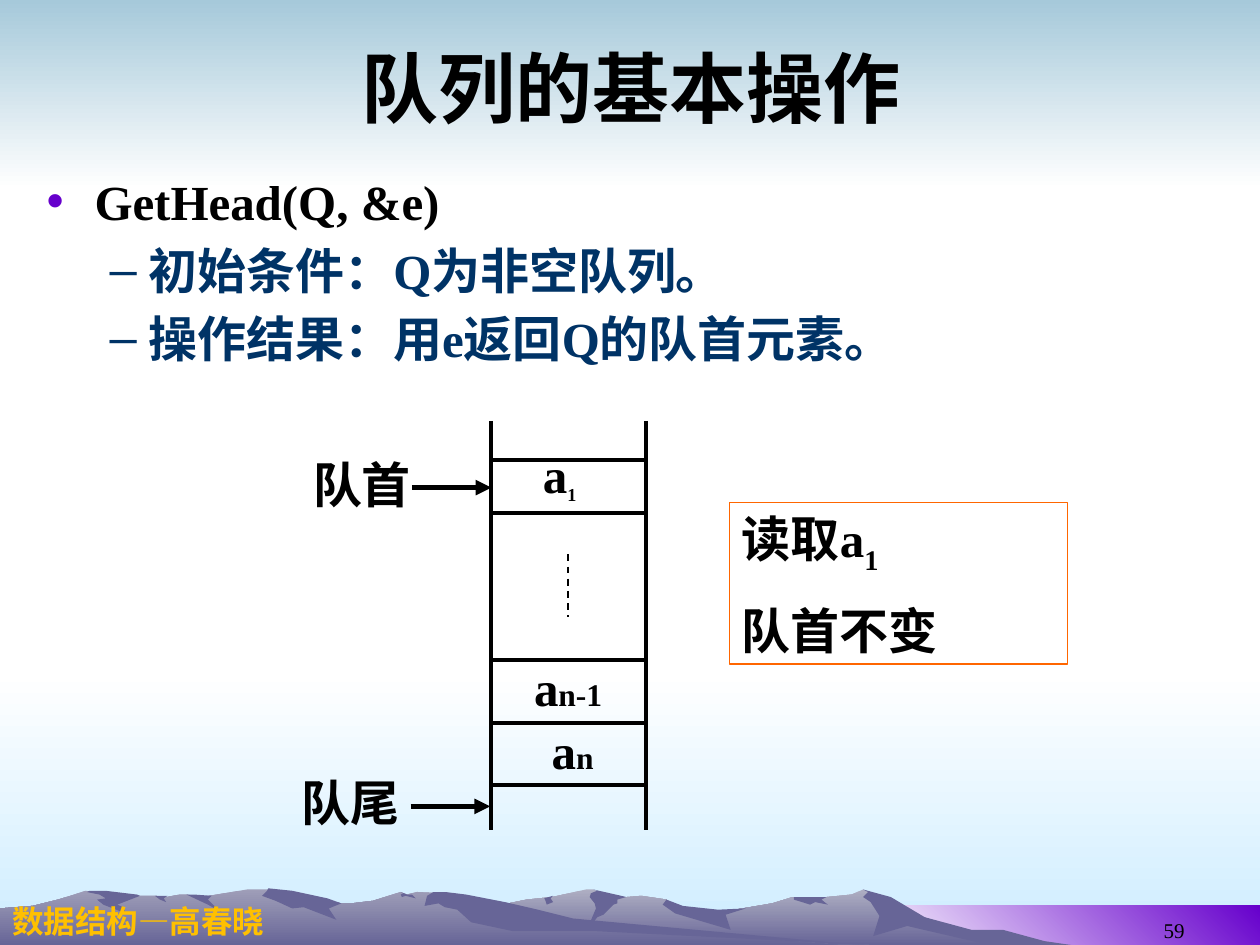
"""Build the slide on reading the head element of a queue."""
import pptx
import pptx.dml.color
import pptx.enum.shapes
import pptx.enum.dml
import pptx.enum.text
import pptx.oxml
import pptx.oxml.ns
import pptx.util

PX = 9144
SERIF, SANS, CJK = "Times New Roman", "Arial", "Noto Sans CJK SC"
BLACK, NAVY, PURPLE, ROCK = "000000", "003366", "6600CC", "676597"
LEFT, RIGHT = 390, 513

BANDS = [
    ((0, 533, 1000, 750), ("FFFFFF", "CCECFF"), 270),
    ((0, 0, 1000, 150), ("A6C9DA", "FFFFFF"), 270),
    ((683, 719, 1000, 750), ("FFFFFF", PURPLE), 45),
]
RIGHT_RIDGE = [
    (802, 746), (778, 740), (764, 738), (723, 725), (702, 712), (685, 706), (676, 710),
    (656, 712), (629, 712), (613, 717), (566, 725), (536, 721), (529, 714), (509, 711),
    (486, 713), (471, 706), (465, 706), (438, 712), (418, 714), (394, 719), (355, 725),
    (327, 731), (277, 745), (258, 750), (820, 750),
]
RIGHT_SHADES = [
    [(796, 738), (771, 738), (734, 728), (707, 712), (685, 706), (689, 708), (685, 712),
     (691, 716), (698, 727), (693, 743), (720, 735), (785, 750), (850, 750), (829, 747)],
    [(471, 706), (474, 707), (469, 709), (468, 712), (472, 717), (473, 721), (465, 740),
     (474, 728), (479, 726), (487, 718), (490, 717), (490, 714), (497, 712), (493, 711)],
    [(529, 714), (526, 718), (536, 725), (580, 738), (576, 726), (592, 721), (570, 722),
     (542, 719)],
    [(650, 712), (630, 712), (630, 714), (643, 718), (647, 716), (657, 718), (652, 714),
     (656, 712)],
    [(433, 715), (432, 713), (439, 711), (437, 713), (439, 716), (434, 718)],
]
LEFT_RIDGE = [
    (690, 750), (667, 750), (432, 732), (354, 709), (331, 708), (323, 710), (318, 708),
    (296, 715), (279, 717), (271, 717), (260, 715), (236, 717), (223, 708), (215, 706),
    (196, 706), (178, 709), (160, 712), (148, 710), (143, 710), (132, 712), (123, 711),
    (111, 711), (94, 712), (68, 707), (56, 711), (46, 714), (26, 719), (0, 721), (0, 750),
]
LEFT_SHADES = [
    [(212, 707), (208, 711), (219, 715), (232, 721), (241, 720), (267, 730), (261, 721),
     (271, 717), (260, 713), (232, 707), (213, 705)],
    [(370, 710), (354, 708), (344, 708), (339, 711), (337, 719), (348, 717), (353, 720),
     (363, 722), (374, 732), (407, 739), (472, 739), (690, 750), (683, 750), (455, 729),
     (427, 722), (401, 716)],
    [(318, 710), (320, 709), (318, 708), (323, 710), (327, 710), (330, 713), (322, 711),
     (319, 712)],
    [(154, 710), (168, 711), (165, 714), (169, 718), (176, 724), (165, 718), (148, 710)],
    [(133, 711), (130, 713), (132, 716), (127, 714), (123, 711)],
    [(109, 710), (111, 711), (93, 718), (98, 720), (100, 725), (82, 718), (77, 714),
     (84, 713), (79, 710), (69, 708), (71, 707), (84, 707)],
]

TITLE = "队列的基本操作"
BULLETS = [
    ("GetHead(Q, &e)", 0, "•", BLACK),
    ("初始条件：Q为非空队列。", 1, "–", NAVY),
    ("操作结果：用e返回Q的队首元素。", 1, "–", NAVY),
]
INDENTS = [(38, -38), (81, -31)]

LABELS = [
    ((0, 711, 305, 40), [[("数据结构—高春晓", {})]],
     dict(size=18, name=SANS, color="FFC000")),
    ((717, 703, 233, 50), [[("59", {})]],
     dict(size=12, bold=False, align="RIGHT", anchor="BOTTOM")),
    ((421, 348, 62, 57), [[("a", {}), ("1", {"sz": "1800", "baseline": "-25000"})]], {}),
    ((414, 517, 96, 57), [[("a", {}), ("n-1", {"sz": "1800"})]], {}),
    ((428, 567, 62, 57), [[("a", {}), ("n", {"sz": "1800"})]], {}),
    ((201, 356, 135, 57), [[("队首", {})]], dict(name=CJK, align="RIGHT")),
    ((192, 608, 135, 57), [[("队尾", {})]], dict(name=CJK, align="RIGHT")),
    ((579, 399, 268, 128),
     [[("读取a", {}), ("1", {"baseline": "-25000"})], [("队首不变", {})]],
     dict(outline="FF6600")),
]
LINES = [((LEFT, y, RIGHT, y), 2.25) for y in (407, 524, 574)]
LINES += [((x, top, x, bottom), 2.25)
          for x in (LEFT, RIGHT) for top, bottom in ((334, 369), (623, 659))]
DASHED_LINE = (451, 440, 451, 490)
ARROWS = [(327, 387, LEFT, 387), (326, 640, 389, 640)]


def rgb(value):
    return pptx.dml.color.RGBColor.from_string(value)


def px(*values):
    return [value * PX for value in values]


def add_xml(parent, markup):
    head, tail = markup.split(" ", 1)
    namespace = pptx.oxml.ns.nsdecls("a")
    parent.append(pptx.oxml.parse_xml(f"<{head} {namespace} {tail}"))


def add_outline(slide, points, colors, angle=270):
    builder = slide.shapes.build_freeform(*points[0], scale=PX)
    builder.add_line_segments(points[1:], close=True)
    shape = builder.convert_to_shape()
    shape.shadow.inherit = False
    shape.line.fill.background()
    if isinstance(colors, str):
        shape.fill.solid()
        shape.fill.fore_color.rgb = rgb(colors)
        return
    shape.fill.gradient()
    shape.fill.gradient_angle = angle
    for stop, color in zip(shape.fill.gradient_stops, colors):
        stop.color.rgb = rgb(color)


def add_scenery(slide):
    for (left, top, right, bottom), colors, angle in BANDS:
        corners = [(left, top), (right, top), (right, bottom), (left, bottom)]
        add_outline(slide, corners, colors, angle)
    for ridge, light, shades in ((RIGHT_RIDGE, "AEAEC2", RIGHT_SHADES),
                                 (LEFT_RIDGE, "9F9EB8", LEFT_SHADES)):
        add_outline(slide, ridge, (light, ROCK))
        for shade in shades:
            add_outline(slide, shade, ROCK)


def style(paragraph, size=28, name=SERIF, color=BLACK, bold=True, align="LEFT"):
    paragraph.alignment = getattr(pptx.enum.text.PP_ALIGN, align)
    font = paragraph.font
    font.size, font.name, font.bold = pptx.util.Pt(size), name, bold
    font.color.rgb = rgb(color)
    defaults = paragraph._p.pPr.find(pptx.oxml.ns.qn("a:defRPr"))
    add_xml(defaults, f'a:ea typeface="{CJK}"/>')


def place(shape, box, anchor="TOP"):
    shape.left, shape.top, shape.width, shape.height = px(*box)
    frame = shape.text_frame
    frame.word_wrap = True
    frame.auto_size = pptx.enum.text.MSO_AUTO_SIZE.NONE
    frame.vertical_anchor = getattr(pptx.enum.text.MSO_ANCHOR, anchor)
    return frame


def next_paragraph(frame, index, gap):
    if index == 0:
        paragraph = frame.paragraphs[0]
        paragraph.space_before = pptx.util.Pt(0)
        return paragraph
    paragraph = frame.add_paragraph()
    paragraph.space_before = pptx.util.Pt(gap)
    return paragraph


def fill_placeholders(slide):
    title, body = slide.placeholders
    for shape in (title, body):
        shape._element.getparent().append(shape._element)
    frame = place(title, (51, 13, 900, 112), "MIDDLE")
    frame.text = TITLE
    style(frame.paragraphs[0], size=44, align="CENTER")
    frame = place(body, (27, 131, 945, 567))
    for index, (text, level, bullet, color) in enumerate(BULLETS):
        paragraph = next_paragraph(frame, index, 5.6)
        paragraph.text, paragraph.level = text, level
        properties = paragraph._p.get_or_add_pPr()
        margin, indent = px(*INDENTS[level])
        properties.set("marL", str(margin))
        properties.set("indent", str(indent))
        bullet_color = color if level else PURPLE
        add_xml(properties, f'a:buClr ><a:srgbClr val="{bullet_color}"/></a:buClr>')
        add_xml(properties, f'a:buChar char="{bullet}"/>')
        style(paragraph, color=color)


def add_label(slide, box, paragraphs, anchor="TOP", outline=None, **look):
    shape = slide.shapes.add_textbox(*px(*box))
    frame = place(shape, box, anchor)
    if outline:
        shape.line.color.rgb = rgb(outline)
        shape.line.width = pptx.util.Pt(0.75)
    for index, runs in enumerate(paragraphs):
        paragraph = next_paragraph(frame, index, 14)
        for text, attributes in runs:
            run = paragraph.add_run()
            run.text = text
            for key, value in attributes.items():
                run._r.get_or_add_rPr().set(key, value)
        style(paragraph, **look)


def add_line(slide, ends, width):
    straight = pptx.enum.shapes.MSO_CONNECTOR.STRAIGHT
    line = slide.shapes.add_connector(straight, *px(*ends))
    line.line.color.rgb = rgb(BLACK)
    line.line.width = pptx.util.Pt(width)
    add_xml(line._element.spPr, "a:effectLst />")
    return line


def add_queue(slide):
    rectangle = pptx.enum.shapes.MSO_SHAPE.RECTANGLE
    queue = slide.shapes.add_shape(rectangle, *px(LEFT, 365, RIGHT - LEFT, 258))
    queue.shadow.inherit = False
    queue.fill.background()
    queue.line.color.rgb = rgb(BLACK)
    queue.line.width = pptx.util.Pt(2.25)
    for ends, width in LINES:
        add_line(slide, ends, width)
    dashed = add_line(slide, DASHED_LINE, 1)
    dashed.line.dash_style = pptx.enum.dml.MSO_LINE.DASH
    for ends in ARROWS:
        arrow = add_line(slide, ends, 3)
        add_xml(arrow.line._get_or_add_ln(), 'a:tailEnd type="triangle"/>')


def main():
    presentation = pptx.Presentation()
    presentation.slide_width, presentation.slide_height = px(1000, 750)
    slide = presentation.slides.add_slide(presentation.slide_layouts[1])
    add_scenery(slide)
    fill_placeholders(slide)
    add_queue(slide)
    for box, paragraphs, look in LABELS:
        add_label(slide, box, paragraphs, **look)
    presentation.save("out.pptx")


if __name__ == "__main__":
    main()
